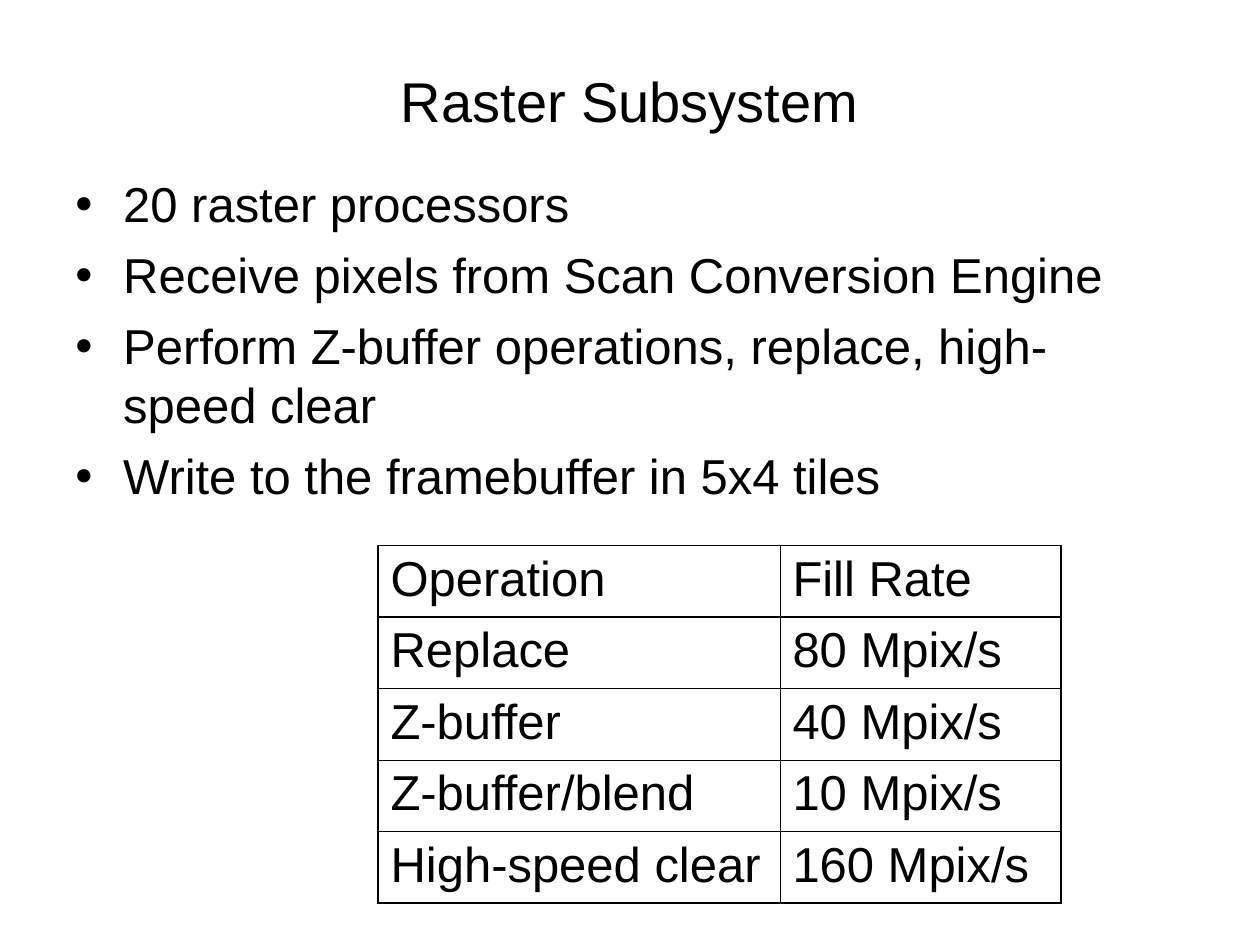
from lxml.etree import SubElement as Sub
from pptx import Presentation
from pptx.dml.color import RGBColor
from pptx.enum.text import MSO_ANCHOR as Anchor, PP_ALIGN as Align
from pptx.oxml.ns import qn
from pptx.util import Inches, Pt

BLACK = RGBColor(0, 0, 0)
WHITE = RGBColor(255, 255, 255)
FONT = "Arial"
THIN, THICK = 0.45, 1.08
WIDE, HIGH = Inches(10), Inches(7.5)

TITLE = "Raster Subsystem"
POINTS = [
    "20 raster processors",
    "Receive pixels from Scan Conversion Engine",
    "Perform Z-buffer operations, replace, high-speed clear",
    "Write to the framebuffer in 5x4 tiles",
]
RATES = [
    ("Operation", "Fill Rate"),
    ("Replace", "80 Mpix/s"),
    ("Z-buffer", "40 Mpix/s"),
    ("Z-buffer/blend", "10 Mpix/s"),
    ("High-speed clear", "160 Mpix/s"),
]


def area(left, top, width, height):
    """Turn inches into a box."""
    return [Inches(v) for v in (left, top, width, height)]


def style(para, size):
    para.font.name = FONT
    para.font.size = Pt(size)
    para.font.color.rgb = BLACK


def add_title(slide, box):
    frame = slide.shapes.add_textbox(*box).text_frame
    frame.word_wrap = True
    frame.vertical_anchor = Anchor.MIDDLE
    para = frame.paragraphs[0]
    para.text = TITLE
    para.alignment = Align.CENTER
    style(para, 32)


def add_bullet(para):
    props = para._p.get_or_add_pPr()
    props.set("marL", str(Inches(0.38)))
    props.set("indent", str(-Inches(0.38)))
    color = Sub(props, qn("a:buClr"))
    Sub(color, qn("a:srgbClr"), val=str(BLACK))
    Sub(props, qn("a:buFont"), typeface=FONT)
    Sub(props, qn("a:buChar"), char="•")


def add_points(slide, box):
    frame = slide.shapes.add_textbox(*box).text_frame
    frame.word_wrap = True
    for i, text in enumerate(POINTS):
        para = frame.add_paragraph() if i else frame.paragraphs[0]
        para.text = text
        add_bullet(para)
        if i:
            para.space_before = Pt(7)
        style(para, 28)


def add_edges(cell, widths):
    """Draw the left, right, top and bottom borders, in that order."""
    props = cell._tc.get_or_add_tcPr()
    for i, (side, width) in enumerate(zip("LRTB", widths)):
        line = props.makeelement(qn(f"a:ln{side}"), {"w": str(Pt(width))})
        fill = Sub(line, qn("a:solidFill"))
        Sub(fill, qn("a:srgbClr"), val=str(BLACK))
        props.insert(i, line)


def add_rates(slide, box):
    rows, cols = len(RATES), len(RATES[0])
    table = slide.shapes.add_table(rows, cols, *box).table
    table.first_row = table.horz_banding = False
    for col, width in zip(table.columns, (3.19, 2.23)):
        col.width = Inches(width)
    for r, texts in enumerate(RATES):
        for c, text in enumerate(texts):
            cell = table.cell(r, c)
            cell.fill.solid()
            cell.fill.fore_color.rgb = WHITE
            para = cell.text_frame.paragraphs[0]
            para.text = text
            style(para, 28)
            # Thick lines frame the table and close the header row
            heavy = (c == 0, c == cols - 1, r < 2, r in (0, rows - 1))
            add_edges(cell, [THICK if h else THIN for h in heavy])


def main():
    deck = Presentation()
    deck.slide_width, deck.slide_height = WIDE, HIGH
    slide = deck.slides.add_slide(deck.slide_layouts[6])
    add_title(slide, area(0.5, 0.17, 9, 1.25))
    add_points(slide, area(0.5, 1.33, 8.5, 3.08))
    add_rates(slide, area(3, 4.33, 5.42, 2.83))
    deck.save("out.pptx")


if __name__ == "__main__":
    main()
